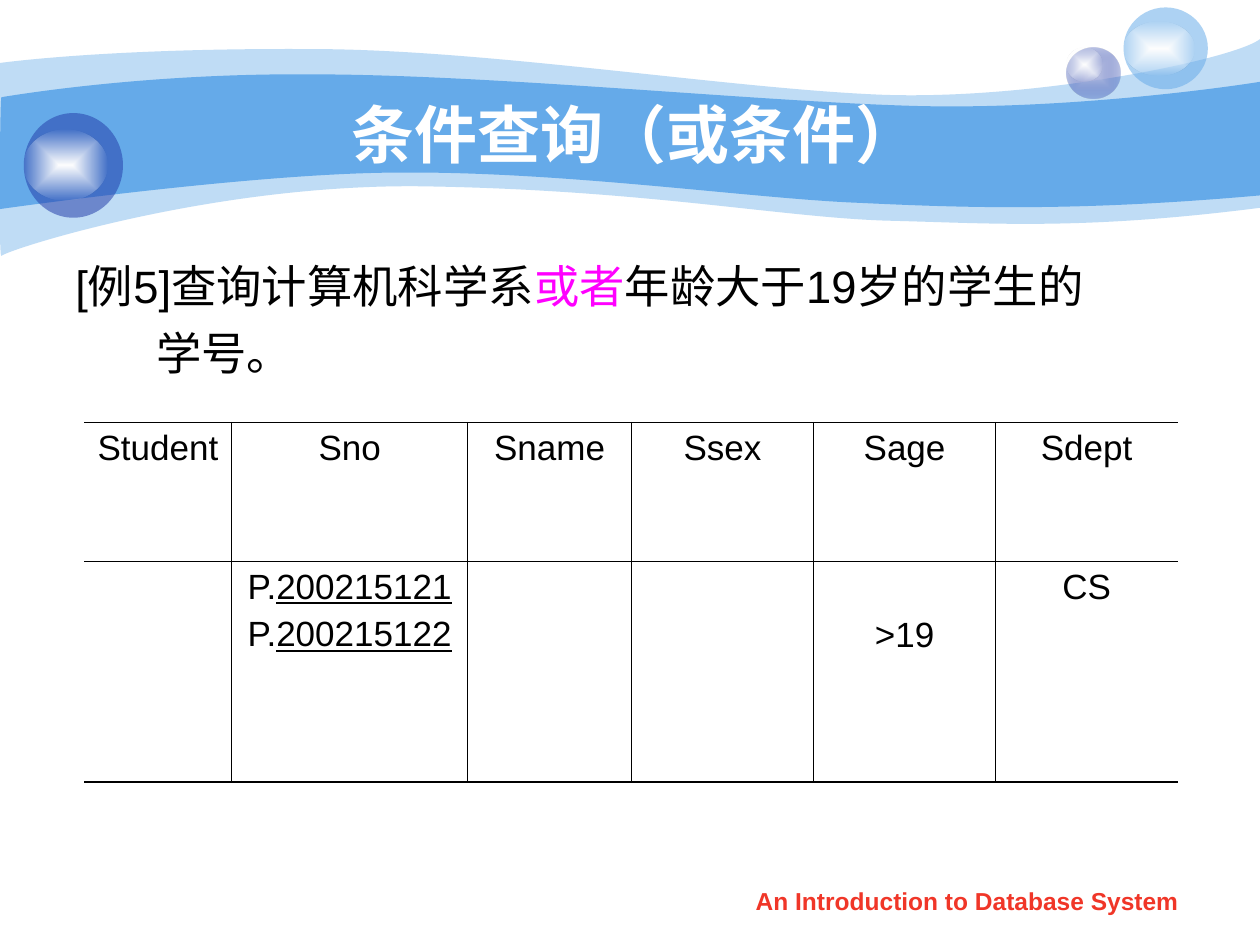
from lxml import etree
from pptx import Presentation
from pptx.dml.color import RGBColor
from pptx.enum import shapes, text
from pptx.oxml import ns, parse_xml
from pptx.util import Cm, Pt

COLORS = {
    "sky": "65AAE9", "navy": "233DA9", "lilac": "C6CCE8", "white": "FFFFFF",
    "glint": "FEFEFE", "black": "000000", "magenta": "FF00FF", "red": "F03628",
}
PALE_BAND = (
    [(0, 1.27), (0.61, 1.19), (2.72, 0.97), (6.27, 0.99), (9.8, 0.99),
     (14.61, 1.78), (17.75, 1.91), (20.88, 2.03), (24.89, 1.19), (25.4, 0.79)],
    [(25.4, 4.19), (21.79, 4.65), (19.99, 4.5), (17.91, 4.45), (15.8, 4.39),
     (13.08, 3.84), (8.71, 3.76), (4.37, 3.66), (0.1, 5.05), (0.03, 5.16),
     (-0.03, 5.28), (0, 1.91), (0, 1.27)],
)
SKY_BAND = (
    [(0.03, 1.96), (0.05, 1.96), (2.79, 1.47), (6.3, 1.5), (9.8, 1.5),
     (15.11, 2.03), (18.24, 2.13), (21.36, 2.24), (24.79, 1.75), (25.4, 1.65)],
    [(25.4, 3.94), (21.67, 4.27), (19.43, 4.19), (17.32, 4.09), (15.21, 4.01),
     (11.35, 3.45), (8.05, 3.48), (5.16, 3.48), (-0.05, 4.22), (-0.03, 4.22),
     (0, 4.22), (0, 1.96), (0.03, 1.96)],
)
ROWS = [
    ["Student", "Sno", "Sname", "Ssex", "Sage", "Sdept"],
    ["", ["200215121", "200215122"], "", "", ">19", "CS"],
]


def rgb(name):
    return RGBColor.from_string(COLORS[name])


def set_alpha(color_element, percent):
    etree.SubElement(color_element, ns.qn("a:alpha")).set("val", str(percent * 1000))


def clear_style(shape):
    shape.shadow.inherit = False
    shape.line.fill.background()


def fill_solid(shape, name, alpha=100):
    shape.fill.solid()
    shape.fill.fore_color.rgb = rgb(name)
    if alpha < 100:
        set_alpha(shape._element.spPr.find(".//" + ns.qn("a:srgbClr")), alpha)


def fill_radial(shape, center, edge, edge_alpha):
    shape.fill.gradient()
    for stop, name, position in zip(shape.fill.gradient_stops, (center, edge), (0, 1)):
        stop.color.rgb = rgb(name)
        stop.position = position
    gradient = shape._element.spPr.find(ns.qn("a:gradFill"))
    set_alpha(gradient.findall(".//" + ns.qn("a:srgbClr"))[-1], edge_alpha)
    gradient.replace(gradient.find(ns.qn("a:lin")), parse_xml(
        f'<a:path {ns.nsdecls("a")} path="rect">'
        '<a:fillToRect l="50000" t="50000" r="50000" b="50000"/></a:path>'))


def bend_segments(segments):
    for first in range(0, len(segments), 3):
        curve, *others = segments[first:first + 3]
        curve.tag = ns.qn("a:cubicBezTo")
        for other in others:
            curve.append(other[0])
            other.getparent().remove(other)


def add_band(slide, left, top, edges, alpha=100):
    points = [(Cm(left + x), Cm(top + y)) for edge in edges for x, y in edge]
    builder = slide.shapes.build_freeform(*points[0])
    builder.add_line_segments(points[1:], close=True)
    band = builder.convert_to_shape()
    segments = band._element.spPr.findall(".//" + ns.qn("a:lnTo"))
    corner = len(edges[0]) - 1
    bend_segments(segments[:corner])
    bend_segments(segments[corner + 1:])
    clear_style(band)
    fill_solid(band, "sky", alpha)


def add_ellipse(slide, left, top, width, height):
    ellipse = slide.shapes.add_shape(
        shapes.MSO_SHAPE.OVAL, Cm(left), Cm(top), Cm(width), Cm(height))
    clear_style(ellipse)
    return ellipse


def add_ball(slide, left, top, width, height, glint, glint_drop):
    ball = add_ellipse(slide, left, top, width, height)
    fill_radial(add_ellipse(slide, left, top + glint_drop, *glint), "white", "glint", 0)
    return ball


def add_header(slide, left, top):
    add_band(slide, left, top, PALE_BAND, 41)
    add_band(slide, left, top, SKY_BAND)
    small = add_ball(slide, left + 21.51, top + 0.96, 1.08, 1.03, (0.72, 0.69), 0)
    fill_radial(small, "lilac", "navy", 31)
    pale = add_ball(slide, left + 22.65, top + 0.15, 1.7, 1.65, (1.42, 1.09), 0.28)
    fill_solid(pale, "sky", 53)
    dark = add_ball(slide, left + 0.48, top + 2.28, 2, 2.11, (1.68, 1.42), 0.34)
    fill_solid(dark, "navy", 53)


def style_paragraph(paragraph, size, color, bold=False, align=text.PP_ALIGN.CENTER):
    paragraph.alignment = align
    font = paragraph.font
    font.name, font.size, font.bold = "Arial", Pt(size), bold
    font.color.rgb = rgb(color)


def add_text_frame(slide, left, top, width, height):
    frame = slide.shapes.add_textbox(Cm(left), Cm(top), Cm(width), Cm(height)).text_frame
    frame.word_wrap = True
    return frame


def add_line(slide, left, top, width, height, words, size, color):
    frame = add_text_frame(slide, left, top, width, height)
    frame.vertical_anchor = text.MSO_ANCHOR.MIDDLE
    frame.text = words
    style_paragraph(frame.paragraphs[0], size, color, bold=True)


def add_question(slide, left, top, width, height):
    frame = add_text_frame(slide, left, top, width, height)
    question = frame.paragraphs[0]
    for words, color in (("[例5]查询计算机科学系", "black"), ("或者", "magenta"),
                         ("年龄大于19岁的学生的", "black")):
        run = question.add_run()
        run.text = words
        run.font.color.rgb = rgb(color)
    ending = frame.add_paragraph()
    ending.text = "学号。"
    ending.space_before = Pt(7)
    ending._p.get_or_add_pPr().set("marL", str(Cm(1.63)))
    for paragraph in frame.paragraphs:
        style_paragraph(paragraph, 25.9, "black", align=text.PP_ALIGN.JUSTIFY)


def set_borders(cell, widths):
    properties = cell._tc.get_or_add_tcPr()
    for index, (side, width) in enumerate(widths.items()):
        paint = (f'<a:solidFill><a:srgbClr val="{COLORS["black"]}"/></a:solidFill>'
                 if width else "<a:noFill/>")
        properties.insert(index, parse_xml(
            f'<a:{side} {ns.nsdecls("a")} w="{Pt(width)}">{paint}</a:{side}>'))


def fill_cell(cell, content):
    frame = cell.text_frame
    if isinstance(content, str):
        frame.text = content
    else:
        for index, number in enumerate(content):
            paragraph = frame.add_paragraph() if index else frame.paragraphs[0]
            paragraph.add_run().text = "P."
            key = paragraph.add_run()
            key.text = number
            key.font.underline = True
    for index, paragraph in enumerate(frame.paragraphs):
        style_paragraph(paragraph, 20, "black")
        if index:
            paragraph.space_before = Pt(5)


def add_query_table(slide, left, top, widths, heights):
    table = slide.shapes.add_table(
        len(heights), len(widths), Cm(left), Cm(top), Cm(sum(widths)), Cm(sum(heights))).table
    table.first_row = table.horz_banding = False
    for column, width in zip(table.columns, widths):
        column.width = Cm(width)
    for row, height in zip(table.rows, heights):
        row.height = Cm(height)
    last_row, last_column = len(heights) - 1, len(widths) - 1
    for r, contents in enumerate(ROWS):
        for c, content in enumerate(contents):
            cell = table.cell(r, c)
            fill_cell(cell, content)
            cell.fill.background()
            set_borders(cell, {
                "lnL": 0.45 if c else 0, "lnR": 0.45 if c < last_column else 0,
                "lnT": 0.45 if r else 1.08, "lnB": 0.45 if r < last_row else 1.08})
    table.cell(1, 4).margin_top = Cm(1.1)


def main():
    presentation = Presentation()
    presentation.slide_width, presentation.slide_height = Cm(25.4), Cm(19.05)
    slide = presentation.slides.add_slide(presentation.slide_layouts[6])
    add_header(slide, 0, 0)
    add_line(slide, 2.54, 1.9, 20.52, 1.57, "条件查询（或条件）", 36, "white")
    add_question(slide, 1.27, 5.08, 22.83, 3.45)
    add_query_table(slide, 1.7, 8.52, [2.97, 4.76, 3.3, 3.67, 3.67, 3.67], [2.79, 4.45])
    add_line(slide, 14.5, 17.72, 10, 0.89, "An Introduction to Database System", 14, "red")
    presentation.save("out.pptx")


if __name__ == "__main__":
    main()
